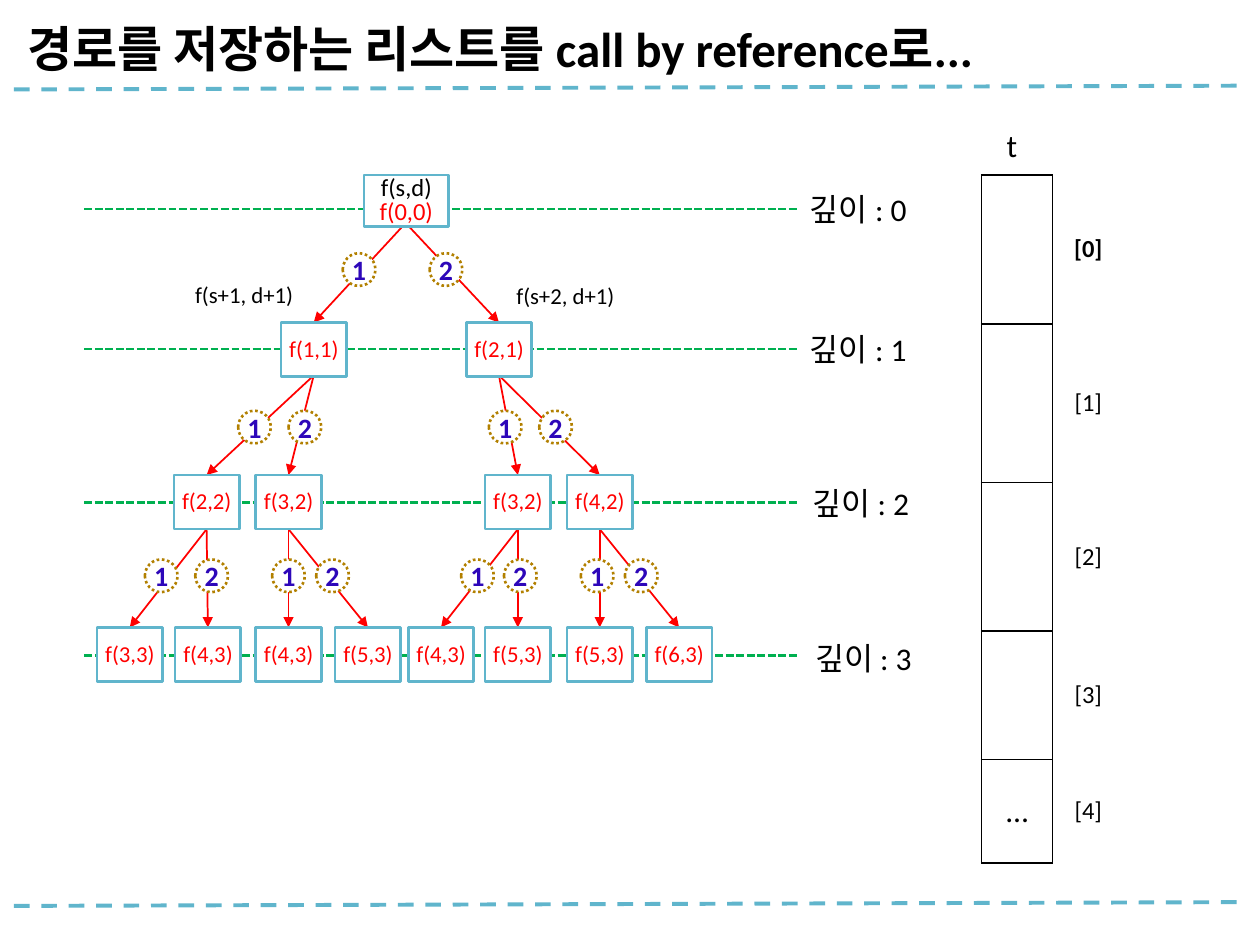
from dataclasses import dataclass
from lxml.etree import SubElement as Sub
from pptx import Presentation
from pptx.dml.color import RGBColor as RGB
from pptx.enum.dml import MSO_LINE as DASH
from pptx.enum.shapes import MSO_CONNECTOR as CONN, MSO_SHAPE as SHAPE
from pptx.enum.text import MSO_ANCHOR as ANCHOR, MSO_AUTO_SIZE as FIT, PP_ALIGN as ALIGN
from pptx.oxml.ns import qn
from pptx.util import Inches, Pt


@dataclass(frozen=True)
class Theme:
    font: str = "Calibri"
    ink: str = "000000"
    paper: str = "FFFFFF"
    frame: str = "60B5CC"
    level: str = "00B050"
    call: str = "FF0000"
    ring: str = "B28000"
    step: str = "2D07B9"
    title: int = 28
    label: int = 18
    digit: int = 16
    root: int = 14
    node: int = 13
    leading: float = 13.8


T = Theme()
prs = Presentation()
prs.slide_width, prs.slide_height = Inches(10), Inches(7.5)
slide = prs.slides.add_slide(prs.slide_layouts[6])
shapes = slide.shapes
COL, ROW = prs.slide_width // 100, prs.slide_height // 75


def grid(x, y, w, h):
    return round(x * COL), round(y * ROW), round(w * COL), round(h * ROW)


def text(holder, content, size, color=T.ink, bold=False, align=ALIGN.CENTER,
         anchor=ANCHOR.MIDDLE, inset=0, leading=None, wrap=True, fit=None):
    tf = holder.text_frame
    box = holder if hasattr(holder, "margin_left") else tf
    box.vertical_anchor = anchor
    box.margin_left = box.margin_right = Inches(inset)
    box.margin_top = box.margin_bottom = Inches(inset / 2)
    tf.word_wrap = wrap
    if fit:
        tf.auto_size = fit
    for i, words in enumerate(content.split("\n")):
        p = tf.add_paragraph() if i else tf.paragraphs[0]
        p.alignment = align
        if leading:
            p.line_spacing = Pt(leading)
        r = p.add_run()
        r.text = words
        f = r.font
        f.name, f.size, f.bold = T.font, Pt(size), bold
        f.color.rgb = RGB.from_string(T.call if i else color)


tops = [13.9, 25.6, 37.7, 49.8]
bottoms = [17.7, 29.8, 42, 54.1]
centers = [
    [32.2],
    [24.9, 39.6],
    [16.4, 22.9, 41.1, 47.6],
    [10.3, 16.5, 22.9, 29.2, 35, 41.1, 47.6, 53.9],
]
ring_tops = [20.1, 32.6, 44.4]
ring_lefts = [
    [27.2, 34.1],
    [18.9, 22.9, 38.8, 42.8],
    [11.5, 15.5, 21.6, 25.1, 36.6, 40, 46.1, 49.6],
]

lines = [(1.1, y, 98.7, y - 0.3, T.frame, 2.25, DASH.DASH, False) for y in (7.1, 71.9)]
lines += [(6.7, y, 63.3, y, T.level, 1.5, DASH.SQUARE_DOT, False) for y in (16.6, 27.7, 39.9, 52)]
nodes = [(SHAPE.RECTANGLE, "f(s,d)\nf(0,0)", (28.9, 13.9, 6.7, 4.1), T.frame, None,
          dict(size=T.root, leading=T.leading))]
rings = []
sums = [0]
for depth in (1, 2, 3):
    sums = [s + step for s in sums for step in (1, 2)]
    for i, x in enumerate(centers[depth]):
        lines.append((centers[depth - 1][i // 2], bottoms[depth - 1], x, tops[depth],
                      T.call, 1, None, True))
        nodes.append((SHAPE.RECTANGLE, f"f({sums[i]},{depth})", (x - 2.6, tops[depth], 5.2, 4.3),
                      T.frame, None, dict(size=T.node, color=T.call, leading=T.leading)))
        rings.append((SHAPE.OVAL, str(i % 2 + 1),
                      (ring_lefts[depth - 1][i], ring_tops[depth - 1], 2.6, 2.6),
                      T.ring, DASH.ROUND_DOT, dict(size=T.digit, color=T.step, bold=True)))

for x1, y1, x2, y2, color, width, dash, arrow in lines:
    s = shapes.add_connector(CONN.STRAIGHT, *grid(x1, y1, x2, y2))
    s.line.color.rgb = RGB.from_string(color)
    s.line.width = Pt(width)
    if dash:
        s.line.dash_style = dash
    if arrow:
        Sub(s.line._get_or_add_ln(), qn("a:tailEnd"), type="triangle")
    Sub(s._element.spPr, qn("a:effectLst"))

for kind, words, place, color, dash, fmt in nodes + rings:
    s = shapes.add_shape(kind, *grid(*place))
    s.shadow.inherit = False
    s.fill.solid()
    s.fill.fore_color.rgb = RGB.from_string(T.paper)
    s.line.color.rgb = RGB.from_string(color)
    s.line.width = Pt(1.5)
    if dash:
        s.line.dash_style = dash
    text(s, words, **fmt)

heights = [11.8, 12.6, 11.8, 10.2, 8.2]
frame = shapes.add_table(len(heights), 2, *grid(77.9, 13.9, 11.3, sum(heights)))
table = frame.table
table.first_row = table.horz_banding = False
for column in table.columns:
    column.width = round(5.65 * COL)
for i, height in enumerate(heights):
    table.rows[i].height = round(height * ROW)
    slot, index = table.cell(i, 0), table.cell(i, 1)
    if i == len(heights) - 1:
        text(slot, "…", T.label)
    text(index, f"[{i}]", T.root, bold=i == 0)
    for cell, sides in ((slot, "LRTB"), (index, "L")):
        pr = cell._tc.get_or_add_tcPr()
        for side in "LRTB":
            ln = Sub(pr, qn(f"a:ln{side}"), w=str(Pt(1)))
            if side in sides:
                Sub(Sub(ln, qn("a:solidFill")), qn("a:srgbClr"), val=T.ink)
            else:
                Sub(ln, qn("a:noFill"))
        cell.fill.background()

free = dict(align=ALIGN.LEFT, inset=0.1, wrap=False, fit=FIT.SHAPE_TO_FIT_TEXT)
caption = dict(free, size=T.label, anchor=ANCHOR.TOP)
formula = dict(free, size=T.node, leading=T.leading)
labels = [
    ("t", (78.9, 9.5, 3.3, 4), caption),
    ("f(s+1, d+1)", (14.5, 22, 12, 3), formula),
    ("f(s+2, d+1)", (40, 22.1, 12, 3), formula),
    ("경로를 저장하는 리스트를 call by reference로...", (1.2, -0.1, 97.6, 6.7),
     dict(size=T.title, bold=True, align=ALIGN.LEFT, anchor=ANCHOR.BOTTOM, inset=0.1)),
]
for depth, (x, y) in enumerate([(63.3, 14.6), (63.3, 25.7), (63.5, 37.9), (63.7, 50.2)]):
    labels.append((f"깊이 : {depth}", (x, y, 12.1, 4), caption))
for words, place, fmt in labels:
    text(shapes.add_textbox(*grid(*place)), words, **fmt)

prs.save("out.pptx")
